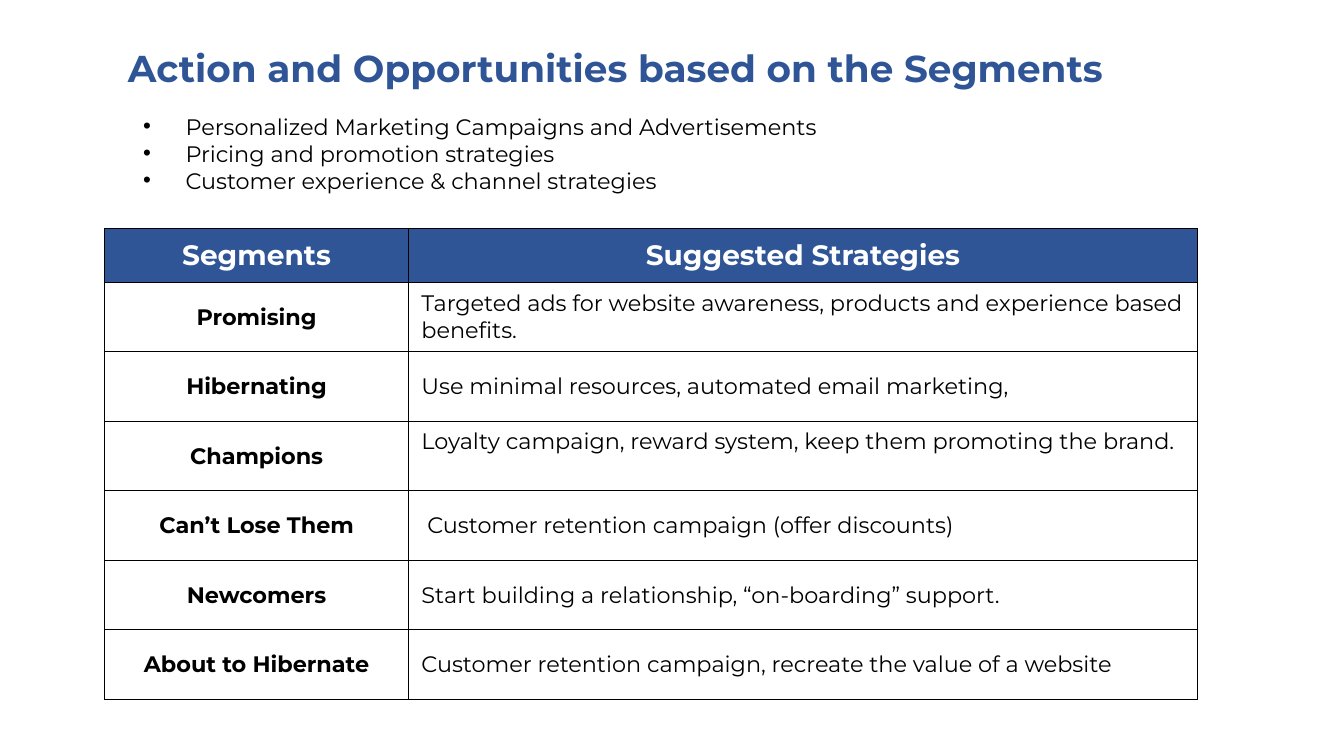
"""Build a slide pairing customer segments with suggested strategies."""
from dataclasses import dataclass

from lxml.etree import SubElement
from pptx import Presentation
from pptx.dml.color import RGBColor
from pptx.enum.text import MSO_ANCHOR, MSO_AUTO_SIZE, PP_ALIGN
from pptx.oxml.ns import qn
from pptx.slide import Slide
from pptx.table import _Cell
from pptx.text.text import TextFrame
from pptx.util import Inches, Pt

FONT = "Montserrat"
BLUE, BLACK, WHITE = "2F5597", "000000", "FFFFFF"
COLUMN_WIDTHS = (3.01, 7.83)
HEADER_HEIGHT, ROW_HEIGHT = 0.53, 0.69


@dataclass
class Segment:
    name: str
    strategy: str
    anchor: MSO_ANCHOR = MSO_ANCHOR.MIDDLE


BULLETS = (
    "Personalized Marketing Campaigns and Advertisements",
    "Pricing and promotion strategies",
    "Customer experience & channel strategies",
)
SEGMENTS = (
    Segment("Promising", "Targeted ads for website awareness, products and experience based benefits."),
    Segment("Hibernating", "Use minimal resources, automated email marketing,"),
    Segment("Champions", "Loyalty campaign, reward system, keep them promoting the brand.", MSO_ANCHOR.TOP),
    Segment("Can’t Lose Them", " Customer retention campaign (offer discounts)"),
    Segment("Newcomers", "Start building a relationship, “on-boarding” support."),
    Segment("About to Hibernate", "Customer retention campaign, recreate the value of a website"),
)


def rgb(value: str) -> RGBColor:
    return RGBColor.from_string(value)


def style_text(tf: TextFrame, size: float, color: str, bold: bool, align: PP_ALIGN) -> None:
    for p in tf.paragraphs:
        p.alignment = align
        p.space_before = Pt(0)
        for r in p.runs:
            r.font.name = FONT
            r.font.size = Pt(size)
            r.font.bold = bold
            r.font.color.rgb = rgb(color)


def place(sp, left: float, top: float, width: float, height: float) -> None:
    sp.left, sp.top = Inches(left), Inches(top)
    sp.width, sp.height = Inches(width), Inches(height)


def add_title(s: Slide) -> None:
    sp = s.shapes.title
    place(sp, 0.49, 0.37, 11.24, 0.84)
    tf = sp.text_frame
    tf.text = "Action and Opportunities based on the Segments"
    tf.auto_size = MSO_AUTO_SIZE.NONE
    tf.vertical_anchor = MSO_ANCHOR.TOP
    tf.margin_left = tf.margin_right = tf.margin_top = tf.margin_bottom = Inches(0.13)
    style_text(tf, 26.7, BLUE, True, PP_ALIGN.CENTER)
    tf.paragraphs[0].line_spacing = 0.9


def add_bullets(s: Slide) -> None:
    sp = s.placeholders[1]
    place(sp, 1.32, 1.07, 7.81, 0.91)
    tf = sp.text_frame
    tf.text = "\n".join(BULLETS)
    tf.auto_size = MSO_AUTO_SIZE.NONE
    for p in tf.paragraphs:
        pPr = p._p.get_or_add_pPr()
        pPr.set("marL", str(Inches(0.42)))
        pPr.set("indent", str(-Inches(0.42)))
        SubElement(pPr, qn("a:buFont"), typeface="Arial")
        SubElement(pPr, qn("a:buChar"), char="•")
    style_text(tf, 16, BLACK, False, PP_ALIGN.LEFT)


def add_borders(cell: _Cell) -> None:
    tcPr = cell._tc.get_or_add_tcPr()
    for i, side in enumerate(("lnL", "lnR", "lnT", "lnB")):
        ln = SubElement(tcPr, qn(f"a:{side}"), w=str(Pt(1)))
        fill = SubElement(ln, qn("a:solidFill"))
        SubElement(fill, qn("a:srgbClr"), val=BLACK)
        tcPr.insert(i, ln)


def fill_cell(cell: _Cell, text: str, size: float, color: str, bold: bool,
              align: PP_ALIGN, fill: str, anchor: MSO_ANCHOR = MSO_ANCHOR.MIDDLE) -> None:
    cell.text_frame.text = text
    cell.vertical_anchor = anchor
    cell.margin_left = cell.margin_right = Inches(0.13)
    cell.margin_top = cell.margin_bottom = Inches(0.07)
    cell.fill.solid()
    cell.fill.fore_color.rgb = rgb(fill)
    add_borders(cell)
    style_text(cell.text_frame, size, color, bold, align)


def add_segment_table(s: Slide) -> None:
    height = HEADER_HEIGHT + ROW_HEIGHT * len(SEGMENTS)
    table = s.shapes.add_table(
        len(SEGMENTS) + 1, len(COLUMN_WIDTHS), Inches(1.04), Inches(2.27),
        Inches(sum(COLUMN_WIDTHS)), Inches(height)).table
    table.horz_banding = False
    for column, width in zip(table.columns, COLUMN_WIDTHS):
        column.width = Inches(width)
    for i, row in enumerate(table.rows):
        row.height = Inches(ROW_HEIGHT if i else HEADER_HEIGHT)
    for i, heading in enumerate(("Segments", "Suggested Strategies")):
        fill_cell(table.cell(0, i), heading, 20, WHITE, True, PP_ALIGN.CENTER, BLUE)
    for i, segment in enumerate(SEGMENTS, 1):
        fill_cell(table.cell(i, 0), segment.name, 16, BLACK, True, PP_ALIGN.CENTER, WHITE)
        fill_cell(table.cell(i, 1), segment.strategy, 16, BLACK, False,
                  PP_ALIGN.LEFT, WHITE, segment.anchor)


def main() -> None:
    prs = Presentation()
    prs.slide_width, prs.slide_height = Inches(13.33), Inches(7.5)
    s = prs.slides.add_slide(prs.slide_layouts[1])
    add_title(s)
    add_bullets(s)
    add_segment_table(s)
    prs.save("out.pptx")


if __name__ == "__main__":
    main()
